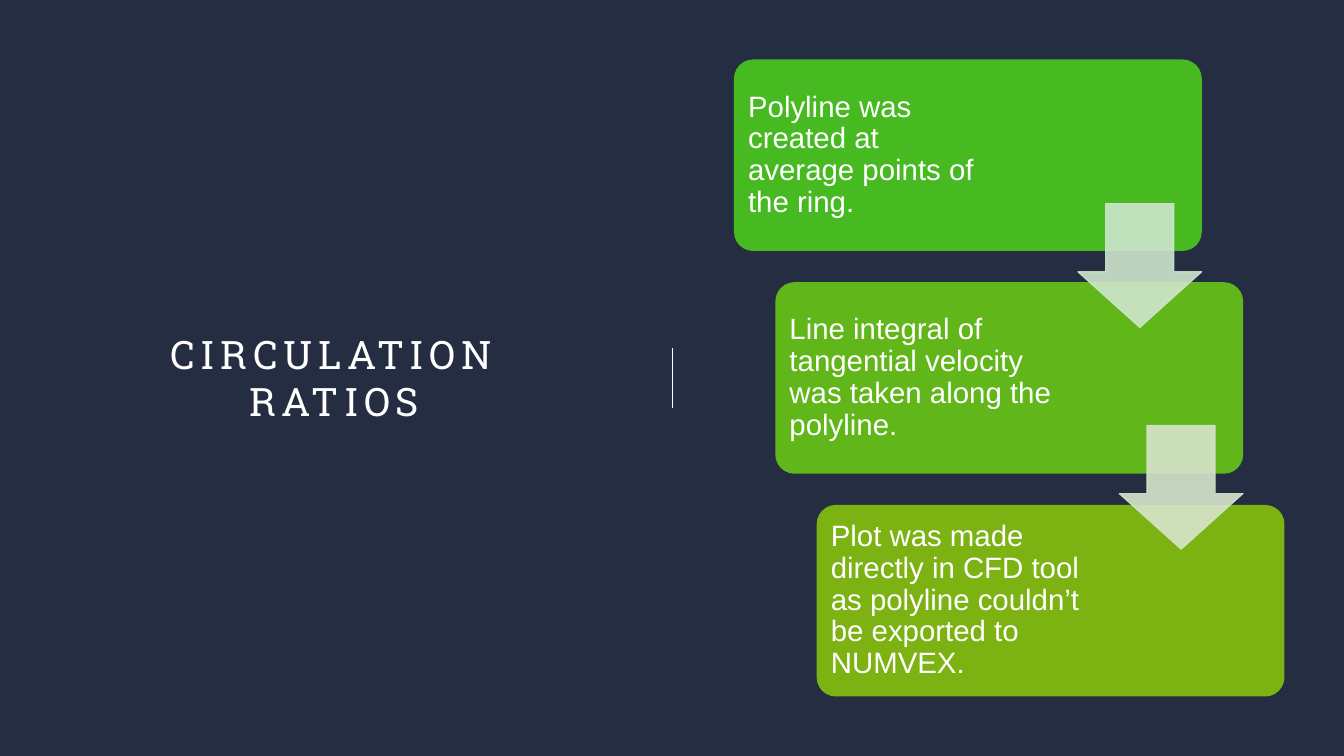
"""Build the circulation ratios slide with its three descending steps."""
import pptx
import pptx.dml.color
import pptx.enum.shapes
import pptx.enum.text
import pptx.oxml
import pptx.oxml.ns
import pptx.util

Inches = pptx.util.Inches
Pt = pptx.util.Pt
SHAPES = pptx.enum.shapes.MSO_SHAPE
ALIGN = pptx.enum.text.PP_ALIGN

TITLE = "CIRCULATION RATIOS"
STEPS = [
    ("Polyline was created at average points of the ring.", "step1", 2.6),
    ("Line integral of tangential velocity was taken along the polyline.", "step2", 2.89),
    ("Plot was made directly in CFD tool as polyline couldn’t be exported to NUMVEX.", "step3", 2.89),
]
ARROWS = ["arrow1", "arrow2"]
COLORS = {
    "background": "242D41",
    "text": "FFFFFF",
    "step1": "47B921",
    "step2": "61B61A",
    "step3": "7DB213",
    "arrow1": "CFE6CD",
    "arrow2": "D7E4CC",
    "arrow_edge": "CFE6CD",
}
STEP_LEFT, STEP_TOP, STEP_WIDTH, STEP_HEIGHT = 7.28, 0.59, 4.64, 1.9
STEP_SHIFT, STEP_PITCH, TEXT_INSET = 0.41, 2.21, 0.05
ARROW_LEFT, ARROW_TOP, ARROW_SIZE, ARROW_PITCH = 10.69, 2.02, 1.23, 2.2


def rgb(name):
    return pptx.dml.color.RGBColor.from_string(COLORS[name])


def set_opacity(color_format, percent):
    for color in color_format._xFill.iter(pptx.oxml.ns.qn("a:srgbClr")):
        alpha = color.makeelement(pptx.oxml.ns.qn("a:alpha"), {"val": str(percent * 1000)})
        color.append(alpha)


def add_text(slide, text, box, margin, font_name, size, align, spacing):
    frame = slide.shapes.add_textbox(*map(Inches, box)).text_frame
    frame.word_wrap = True
    frame.vertical_anchor = pptx.enum.text.MSO_ANCHOR.MIDDLE
    frame.margin_left = frame.margin_right = Inches(margin)
    frame.margin_top = frame.margin_bottom = Inches(margin)
    frame.text = text
    paragraph = frame.paragraphs[0]
    paragraph.alignment = align
    paragraph.line_spacing = spacing
    run = paragraph.runs[0]
    run.font.name = font_name
    run.font.size = Pt(size)
    run.font.color.rgb = rgb("text")
    return run


def add_block(slide, preset, box, adjustments, fill):
    block = slide.shapes.add_shape(preset, *map(Inches, box))
    block.shadow.inherit = False
    for index, value in enumerate(adjustments):
        block.adjustments[index] = value
    block.fill.solid()
    block.fill.fore_color.rgb = rgb(fill)
    block.line.fill.background()
    return block


def main():
    deck = pptx.Presentation()
    deck.slide_width, deck.slide_height = Inches(13.33), Inches(7.5)
    slide = deck.slides.add_slide(deck.slide_layouts[6])
    slide.background.fill.solid()
    slide.background.fill.fore_color.rgb = rgb("background")

    title = add_text(slide, TITLE, (1.18, 1.18, 4.27, 5.13), 0,
                     "Roboto Slab", 28, ALIGN.CENTER, 1.0)
    title.font._element.set("spc", "400")

    divider = slide.shapes.add_connector(
        pptx.enum.shapes.MSO_CONNECTOR.STRAIGHT,
        Inches(6.67), Inches(3.45), Inches(6.67), Inches(4.05))
    divider.line.color.rgb = rgb("text")
    divider.line.width = Pt(1)
    properties = divider._element.spPr
    properties.append(properties.makeelement(pptx.oxml.ns.qn("a:effectLst"), {}))

    for index, (text, fill, text_width) in enumerate(STEPS):
        left = STEP_LEFT + index * STEP_SHIFT
        top = STEP_TOP + index * STEP_PITCH
        add_block(slide, SHAPES.ROUNDED_RECTANGLE,
                  (left, top, STEP_WIDTH, STEP_HEIGHT), [0.1], fill)
        text_box = (left + TEXT_INSET, top + TEXT_INSET,
                    text_width, STEP_HEIGHT - 2 * TEXT_INSET)
        add_text(slide, text, text_box, 0.09, "Arial", 21, ALIGN.LEFT, 0.9)

    for index, fill in enumerate(ARROWS):
        arrow_box = (ARROW_LEFT + index * STEP_SHIFT, ARROW_TOP + index * ARROW_PITCH,
                     ARROW_SIZE, ARROW_SIZE)
        arrow = add_block(slide, SHAPES.DOWN_ARROW, arrow_box, [0.55, 0.45], fill)
        arrow.line.color.rgb = rgb("arrow_edge")
        arrow.line.width = Pt(0.75)
        set_opacity(arrow.fill.fore_color, 90)
        set_opacity(arrow.line.color, 90)

    deck.save("out.pptx")


if __name__ == "__main__":
    main()
